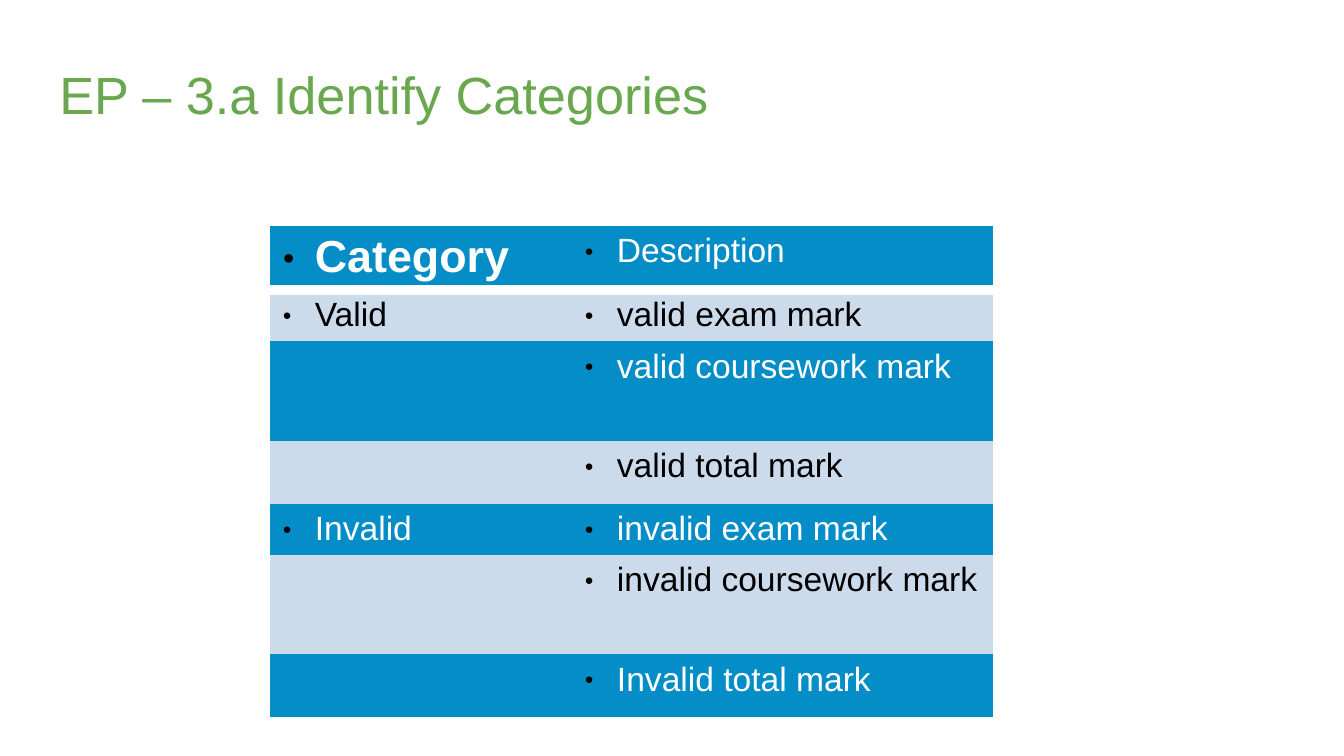
from lxml.etree import SubElement
from pptx import Presentation
from pptx.dml.color import RGBColor
from pptx.enum.text import MSO_ANCHOR, MSO_AUTO_SIZE, PP_ALIGN
from pptx.oxml import parse_xml
from pptx.oxml.ns import nsdecls, qn
from pptx.util import Cm, Pt

# Content
TITLE = "EP – 3.a Identify Categories"
CATEGORIES = [
    ("Category", "Description"),
    ("Valid", "valid exam mark"),
    ("", "valid coursework mark"),
    ("", "valid total mark"),
    ("Invalid", "invalid exam mark"),
    ("", "invalid coursework mark"),
    ("", "Invalid total mark"),
]

# Look
THEME = {
    "font": "Arial",
    "title": "6AA84F", "white": "FFFFFF", "black": "000000",
    "blue": "058DC7", "pale": "CCDBEB",
    "title_size": 28, "head_size": 24, "body_size": 18, "rule": 6,
}

# Layout in centimetres
SLIDE = (25.4, 14.29)
TITLE_BOX = {"left": 0.87, "top": 0.82, "width": 23.67, "height": 1.6}
TABLE_AT = (5.1, 4.27)
COLUMNS = (5.71, 7.95)
MARK_ROWS = (0.97, 1.88, 1.19)  # exam, coursework, total
ROWS = (1.21, *MARK_ROWS * 2)
INDENT = 0.61
CELL_MARGINS = {"margin_left": 0.24, "margin_right": 0.24,
                "margin_top": 0.12, "margin_bottom": 0.12}
TITLE_MARGINS = {"margin_left": 0.25, "margin_right": 0.25,
                 "margin_top": 0.35, "margin_bottom": 0.25}
PLAIN_TABLE_STYLE = "{2D5ABB26-0587-4C30-8999-92F81FD0307C}"


def set_lengths(target, lengths):
    for name, value in lengths.items():
        setattr(target, name, Cm(value))


def write(paragraph, text, size, color, bold=False):
    run = paragraph.add_run()
    run.text = text
    for name, value in {"name": THEME["font"], "size": Pt(size), "bold": bold}.items():
        setattr(run.font, name, value)
    run.font.color.rgb = RGBColor.from_string(THEME[color])


def add_bullet(paragraph):
    props = paragraph._p.get_or_add_pPr()
    props.set("marL", str(Cm(INDENT)))
    props.set("indent", str(-Cm(INDENT)))
    bullet_color = SubElement(props, qn("a:buClr"))
    SubElement(bullet_color, qn("a:srgbClr"), val=THEME["black"])
    SubElement(props, qn("a:buSzPct"), val="45000")
    SubElement(props, qn("a:buFont"), typeface=THEME["font"])
    SubElement(props, qn("a:buChar"), char="●")


def add_bottom_rule(cell):
    rule = parse_xml(
        f'<a:lnB {nsdecls("a")} w="{Pt(THEME["rule"])}"><a:solidFill>'
        f'<a:srgbClr val="{THEME["white"]}"/></a:solidFill></a:lnB>')
    cell._tc.get_or_add_tcPr().insert(0, rule)


def fill_cell(cell, text, row, column):
    fill, ink = ("pale", "black") if row % 2 else ("blue", "white")
    set_lengths(cell, CELL_MARGINS)
    cell.fill.solid()
    cell.fill.fore_color.rgb = RGBColor.from_string(THEME[fill])
    if row == 0:
        add_bottom_rule(cell)
    if text:
        lead = row == 0 and column == 0
        paragraph = cell.text_frame.paragraphs[0]
        add_bullet(paragraph)
        write(paragraph, text, THEME["head_size" if lead else "body_size"], ink, lead)


def main():
    deck = Presentation()
    deck.slide_width, deck.slide_height = map(Cm, SLIDE)
    slide = deck.slides.add_slide(deck.slide_layouts[5])

    # Title
    title = slide.shapes.title
    set_lengths(title, TITLE_BOX)
    frame = title.text_frame
    set_lengths(frame, TITLE_MARGINS)
    for name, value in {"auto_size": MSO_AUTO_SIZE.NONE, "word_wrap": True,
                        "vertical_anchor": MSO_ANCHOR.TOP}.items():
        setattr(frame, name, value)
    heading = frame.paragraphs[0]
    heading.alignment = PP_ALIGN.LEFT
    write(heading, TITLE, THEME["title_size"], "title")

    # Category table
    table = slide.shapes.add_table(
        len(ROWS), len(COLUMNS), *map(Cm, (*TABLE_AT, sum(COLUMNS), sum(ROWS)))).table
    table.first_row = table.horz_banding = False
    table._tbl.tblPr.find(qn("a:tableStyleId")).text = PLAIN_TABLE_STYLE
    for column, width in zip(table.columns, COLUMNS):
        column.width = Cm(width)
    for row, height in zip(table.rows, ROWS):
        row.height = Cm(height)
    for r, entries in enumerate(CATEGORIES):
        for c, text in enumerate(entries):
            fill_cell(table.cell(r, c), text, r, c)

    deck.save("out.pptx")


if __name__ == "__main__":
    main()
